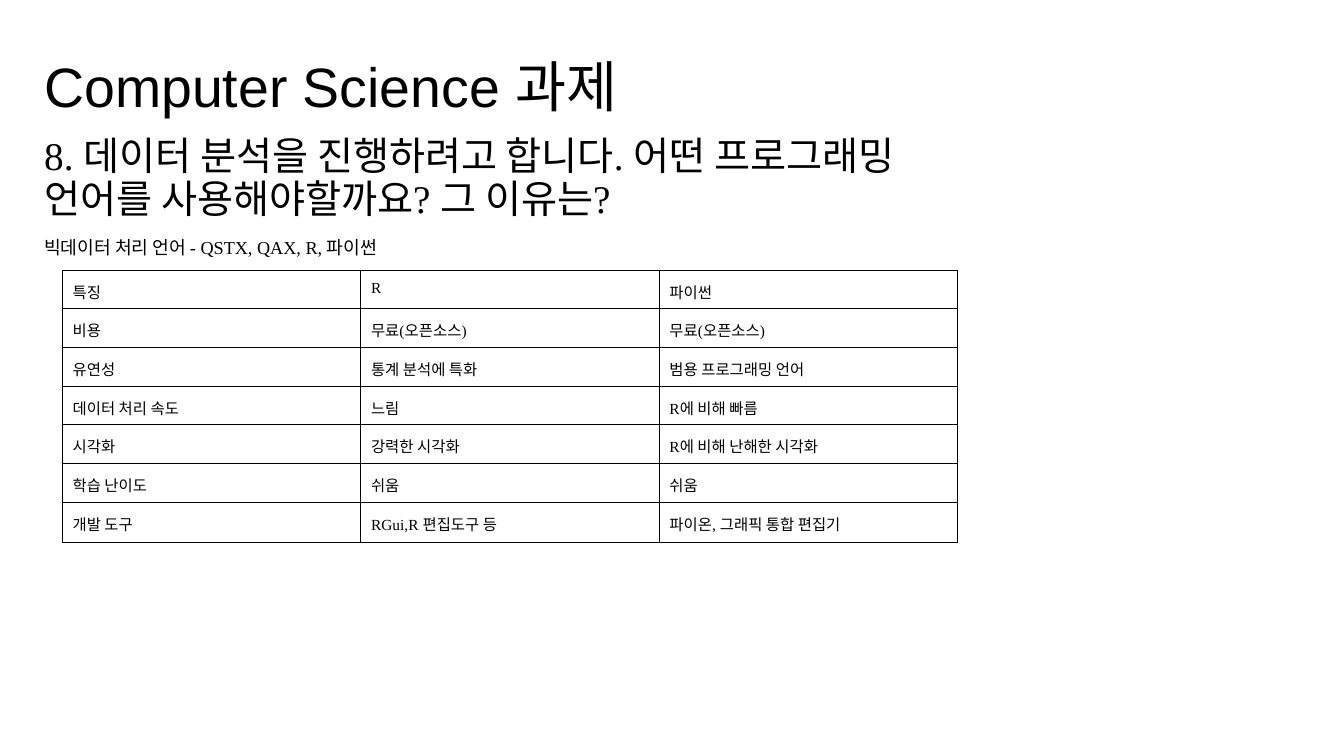
from dataclasses import dataclass

import pptx
import pptx.dml.color
import pptx.enum.text
import pptx.oxml
import pptx.oxml.ns
import pptx.util

Inches = pptx.util.Inches
Pt = pptx.util.Pt
BLACK = "000000"
SERIF = "Times New Roman"
INSET = Inches(0.1)
BORDER_SIDES = ("a:lnL", "a:lnR", "a:lnT", "a:lnB")

COMPARISON = [
    ("특징", "R", "파이썬"),
    ("비용", "무료(오픈소스)", "무료(오픈소스)"),
    ("유연성", "통계 분석에 특화", "범용 프로그래밍 언어"),
    ("데이터 처리 속도", "느림", "R에 비해 빠름"),
    ("시각화", "강력한 시각화", "R에 비해 난해한 시각화"),
    ("학습 난이도", "쉬움", "쉬움"),
    ("개발 도구", "RGui,R 편집도구 등", "파이온, 그래픽 통합 편집기"),
]


@dataclass
class Line:
    text: str
    size: float
    font: str = SERIF
    gap: float = 0


@dataclass
class TextBlock:
    top: float
    height: float
    lines: list[Line]


BLOCKS = [
    TextBlock(0.49, 0.63, [Line("Computer Science 과제", 39.6, "Arial")]),
    TextBlock(1.26, 3.74, [
        Line("8. 데이터 분석을 진행하려고 합니다. 어떤 프로그래밍 언어를 사용해야할까요? 그 이유는?", 28),
        Line("빅데이터 처리 언어 - QSTX, QAX, R, 파이썬", 13, gap=12),
    ]),
]


def rgb(value: str) -> pptx.dml.color.RGBColor:
    return pptx.dml.color.RGBColor.from_string(value)


def write_line(paragraph, line: Line) -> None:
    paragraph.text = line.text
    for run in paragraph.runs:
        run.font.size = Pt(line.size)
        run.font.name = line.font
        run.font.color.rgb = rgb(BLACK)


def add_block(slide, block: TextBlock) -> None:
    box = slide.shapes.add_textbox(
        Inches(0.34), Inches(block.top), Inches(9.32), Inches(block.height))
    frame = box.text_frame
    frame.word_wrap = True
    frame.vertical_anchor = pptx.enum.text.MSO_ANCHOR.TOP
    frame.margin_left = frame.margin_right = INSET
    frame.margin_top = frame.margin_bottom = INSET
    for index, line in enumerate(block.lines):
        paragraph = frame.add_paragraph() if index else frame.paragraphs[0]
        write_line(paragraph, line)
        paragraph.line_spacing = 0.9
        paragraph.space_before = paragraph.space_after = Pt(line.gap)


def add_borders(cell, color: str, width: float) -> None:
    properties = cell._tc.get_or_add_tcPr()
    for index, side in enumerate(BORDER_SIDES):
        border = pptx.oxml.parse_xml(
            f'<{side} {pptx.oxml.ns.nsdecls("a")} w="{Pt(width)}">'
            f'<a:solidFill><a:srgbClr val="{color}"/></a:solidFill></{side}>')
        properties.insert(index, border)


def add_comparison(slide, rows: list[tuple[str, ...]]) -> None:
    column_count = len(rows[0])
    table = slide.shapes.add_table(
        len(rows), column_count,
        Inches(0.62), Inches(2.68), Inches(8.88), Inches(2.62)).table
    table.first_row = table.horz_banding = False
    for column in table.columns:
        column.width = Inches(2.96)
    for row, texts in zip(table.rows, rows):
        row.height = Inches(0.37)
        for cell, text in zip(row.cells, texts):
            cell.fill.background()
            cell.margin_left = cell.margin_right = INSET
            cell.margin_top = cell.margin_bottom = INSET
            write_line(cell.text_frame.paragraphs[0], Line(text, 11))
            add_borders(cell, BLACK, 0.75)
    table.rows[len(rows) - 1].height = Inches(0.4)


def main() -> None:
    deck = pptx.Presentation()
    deck.slide_width = Inches(13.33)
    deck.slide_height = Inches(7.5)
    slide = deck.slides.add_slide(deck.slide_layouts[6])
    for block in BLOCKS:
        add_block(slide, block)
    add_comparison(slide, COMPARISON)
    deck.save("out.pptx")


if __name__ == "__main__":
    main()
